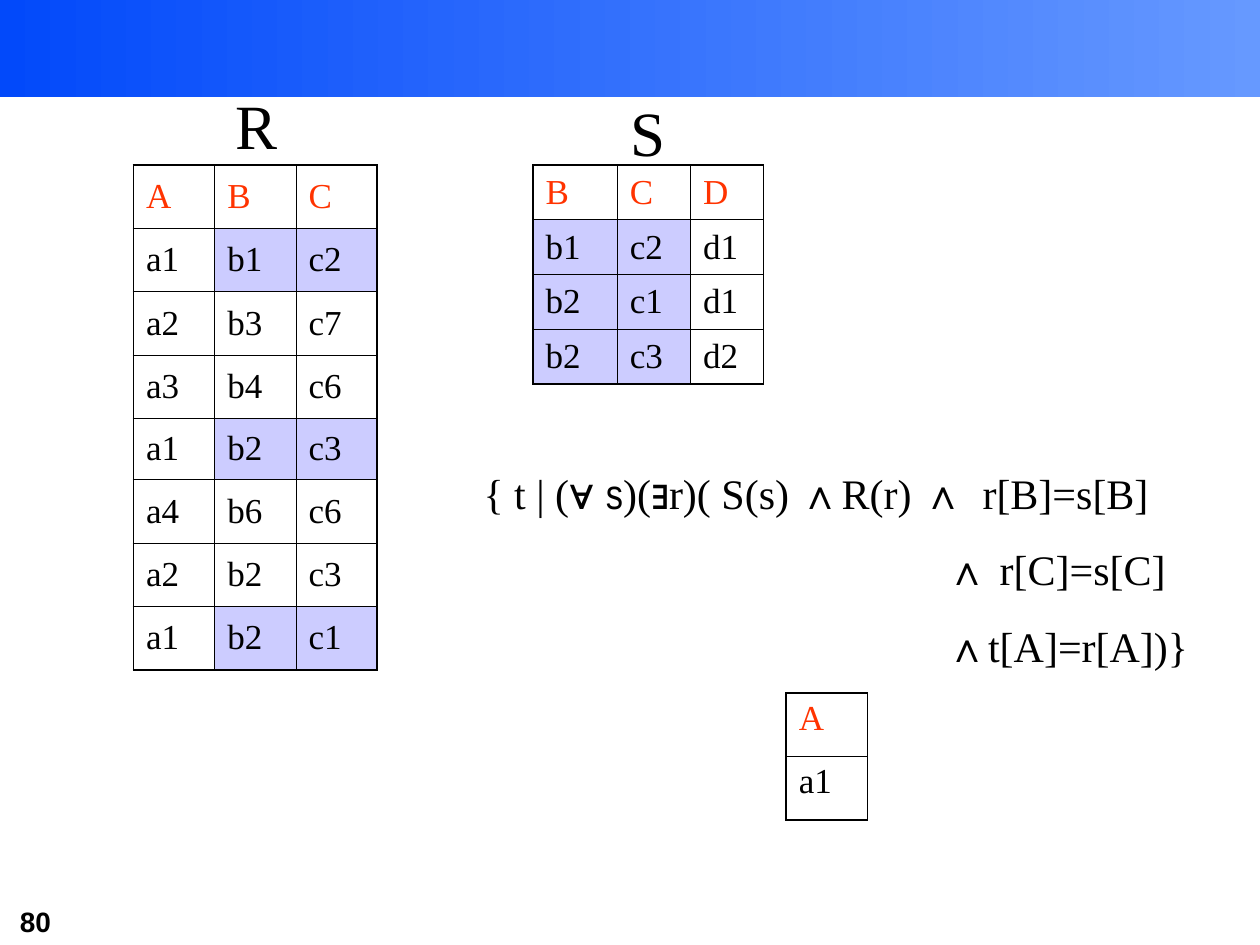
from pptx import Presentation
from pptx import util as u
from pptx.dml.color import RGBColor
from pptx.enum import shapes, text
from pptx.oxml.ns import qn
from lxml import etree

COLORS = {
    "ink": "000000",
    "header": "FF3300",
    "match": "CCCCFF",
    "band_start": "0249FA",
    "band_end": "6699FF",
}
SERIF, SANS, NARROW = "Times New Roman", "Arial", "Arial Narrow"
CELL = u.Inches(0.1)  # the slide is a grid of 100 columns by 75 rows
COLUMNS, ROWS = 100, 75


def color(name):
    return RGBColor.from_string(COLORS[name])


class SlideBuilder:
    """Places elements on one slide; all lengths are grid columns and rows."""

    outer_line, inner_line = u.Pt(1.08), u.Pt(0.45)

    def __init__(self, slide):
        self.slide = slide

    def grid(self, *lengths):
        return [round(length * CELL) for length in lengths]

    def add_span(self, para, words, size, font=SERIF, ink="ink", bold=False):
        span = para.add_run()
        span.text = words
        span.font.size = u.Pt(size)
        span.font.name = font
        span.font.bold = bold
        span.font.color.rgb = color(ink)

    def band(self, left, top, width, height):
        band = self.slide.shapes.add_shape(
            shapes.MSO_SHAPE.RECTANGLE, *self.grid(left, top, width, height))
        band.shadow.inherit = False
        band.line.fill.background()
        band.fill.gradient()
        band.fill.gradient_angle = 0
        for stop, name in zip(band.fill.gradient_stops, ("band_start", "band_end")):
            stop.color.rgb = color(name)

    def text_box(self, left, top, width, height):
        box = self.slide.shapes.add_textbox(*self.grid(left, top, width, height))
        box.text_frame.word_wrap = True
        return box.text_frame

    def label(self, place, words, size, align=text.PP_ALIGN.LEFT, **style):
        para = self.text_box(*place).paragraphs[0]
        para.alignment = align
        self.add_span(para, words, size, **style)

    def formula(self, place, lines, size, tab, indent):
        """Lines of (words, font) spans; lines after the first are indented."""
        frame = self.text_box(*place)
        for index, spans in enumerate(lines):
            para = frame.add_paragraph() if index else frame.paragraphs[0]
            props = para._p.get_or_add_pPr()
            if index:
                para.space_before = u.Pt(15)
                props.set("marL", str(self.grid(indent)[0]))
                props.set("indent", "0")
            else:
                stops = etree.SubElement(props, qn("a:tabLst"))
                etree.SubElement(stops, qn("a:tab"),
                                 pos=str(self.grid(tab)[0]), algn="l")
            for words, font in spans:
                self.add_span(para, words, size, font)

    def border(self, cell, side, width):
        line = etree.SubElement(cell._tc.get_or_add_tcPr(), qn("a:ln" + side),
                                w=str(int(width)))
        fill = etree.SubElement(line, qn("a:solidFill"))
        etree.SubElement(fill, qn("a:srgbClr"), val=COLORS["ink"])

    def relation(self, left, top, widths, heights, rows, matches=(),
                 anchor=text.MSO_ANCHOR.MIDDLE):
        """Table with a red header row; matches holds the shaded (row, column)s."""
        table = self.slide.shapes.add_table(
            len(rows), len(widths),
            *self.grid(left, top, sum(widths), sum(heights))).table
        table.first_row = table.horz_banding = False
        for column, width in zip(table.columns, self.grid(*widths)):
            column.width = width
        for row, height in zip(table.rows, self.grid(*heights)):
            row.height = height
        for r, values in enumerate(rows):
            for c, value in enumerate(values):
                cell = table.cell(r, c)
                cell.vertical_anchor = anchor
                edges = {"L": c == 0, "R": c == len(widths) - 1,
                         "T": r == 0, "B": r == len(rows) - 1}
                for side, is_outer in edges.items():
                    self.border(cell, side,
                                self.outer_line if is_outer else self.inner_line)
                if (r, c) in matches:
                    cell.fill.solid()
                    cell.fill.fore_color.rgb = color("match")
                else:
                    cell.fill.background()
                self.add_span(cell.text_frame.paragraphs[0], value, 20,
                              ink="ink" if r else "header")


def main():
    deck = Presentation()
    deck.slide_width, deck.slide_height = COLUMNS * CELL, ROWS * CELL
    page = SlideBuilder(deck.slides.add_slide(deck.slide_layouts[6]))

    page.band(0, 0, COLUMNS, 7.7)
    page.label((0.6, 71.3, 12.2, 3.7), "80", 16, font=SANS, bold=True)

    r_rows = ["A B C", "a1 b1 c2", "a2 b3 c7", "a3 b4 c6", "a1 b2 c3",
              "a4 b6 c6", "a2 b2 c3", "a1 b2 c1"]
    s_rows = ["B C D", "b1 c2 d1", "b2 c1 d1", "b2 c3 d2"]
    page.relation(10.6, 13.1, [6.45] * 3, [5.03] * 4 + [4.83, 5.07, 5.03, 5.03],
                  [row.split() for row in r_rows],
                  {(r, c) for r in (1, 4, 7) for c in (1, 2)})
    page.relation(42.3, 13.1, [6.7, 5.8, 5.8], [4.35] * 4,
                  [row.split() for row in s_rows],
                  {(r, c) for r in (1, 2, 3) for c in (0, 1)})
    page.relation(62.4, 55, [6.45], [5.03] * 2, [["A"], ["a1"]],
                  anchor=text.MSO_ANCHOR.TOP)

    page.formula((37.4, 36.6, 71.7, 17.2), [
        [("{ t | (", SERIF), ("∀ ", SANS), ("s", NARROW), (")(", SERIF),
         ("∃", SANS), ("r)( S(s) ", SERIF), ("∧", SANS), ("R(r) ", SERIF),
         ("∧\t", SANS), ("r[B]=s[B]", SERIF)],
        [("∧ ", SANS), ("r[C]=s[C]", SERIF)],
        [("∧", SANS), ("t[A]=r[A])}", SERIF)],
    ], size=24, tab=39.6, indent=36.7)

    for name, left, top in (("R", 16.6, 6.4), ("S", 47.7, 6.9)):
        page.label((left, top, 7.5, 7), name, 36, text.PP_ALIGN.CENTER)

    deck.save("out.pptx")


if __name__ == "__main__":
    main()
